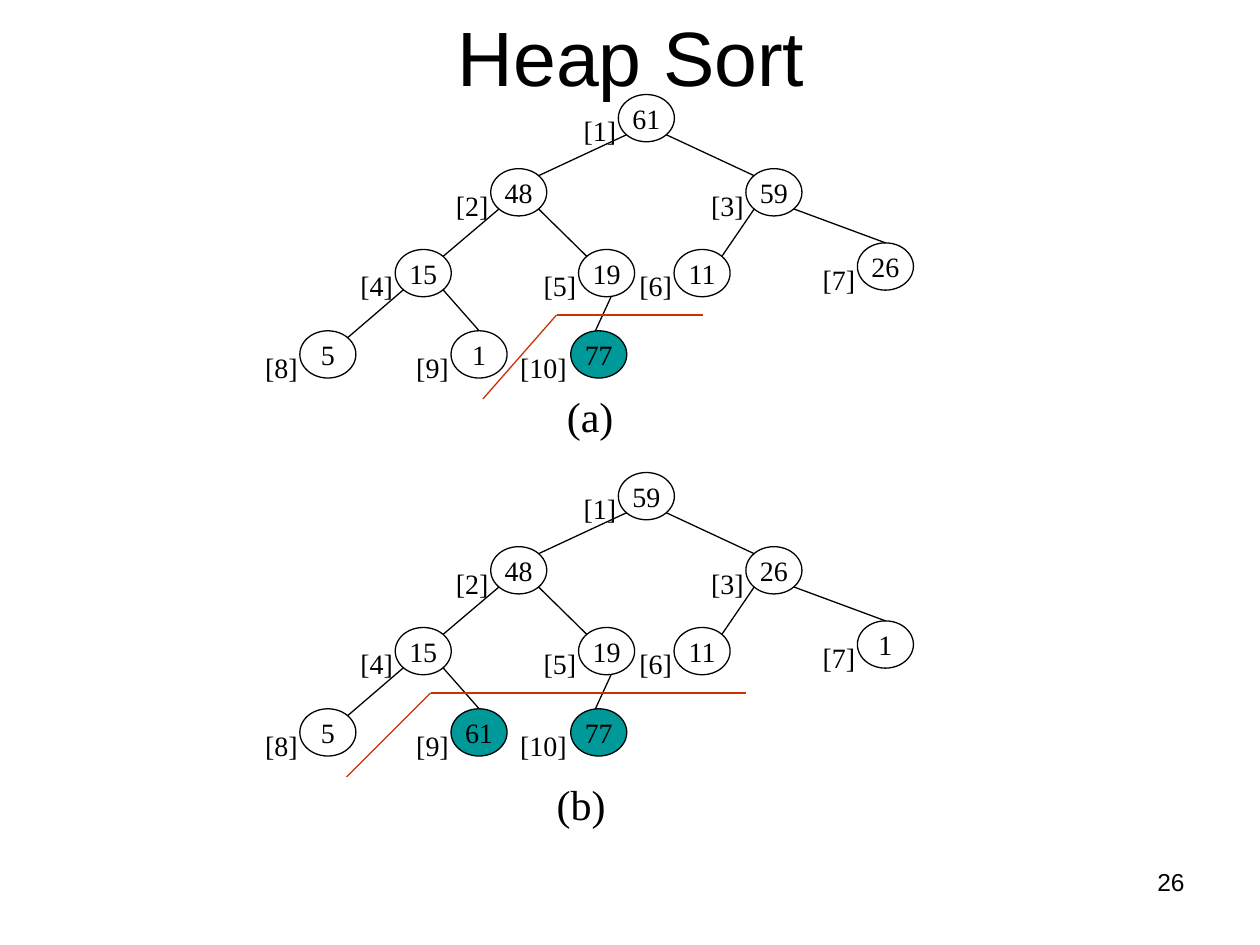
"""Build the Heap Sort slide: two heaps, before and after extracting the maximum."""
from dataclasses import dataclass
from typing import NamedTuple

from lxml import etree
from pptx import Presentation
from pptx.dml.color import RGBColor
from pptx.enum.shapes import MSO_CONNECTOR, MSO_SHAPE
from pptx.enum.text import MSO_ANCHOR, MSO_AUTO_SIZE, PP_ALIGN
from pptx.oxml.ns import qn
from pptx.util import Inches, Pt

ELLIPSE, STRAIGHT = MSO_SHAPE.OVAL, MSO_CONNECTOR.STRAIGHT
MIDDLE, TOP = MSO_ANCHOR.MIDDLE, MSO_ANCHOR.TOP
LEFT, CENTER, RIGHT = PP_ALIGN.LEFT, PP_ALIGN.CENTER, PP_ALIGN.RIGHT
GROW, FIXED = MSO_AUTO_SIZE.SHAPE_TO_FIT_TEXT, MSO_AUTO_SIZE.NONE
WIDTH, HEIGHT = Inches(10), Inches(7.5)


@dataclass(frozen=True)
class Theme:
    ink: RGBColor = RGBColor(0x00, 0x00, 0x00)
    sorted_fill: RGBColor = RGBColor(0x00, 0x99, 0x99)
    boundary: RGBColor = RGBColor(0xCC, 0x33, 0x00)
    sans: str = "Arial"
    serif: str = "Times New Roman"
    title: int = 44
    caption: int = 24
    node: int = 16
    number: int = 14
    line: float = 0.75


class Point(NamedTuple):
    """A place in percent of the slide's width and height."""
    x: float
    y: float


class Edge(NamedTuple):
    """A link between two nodes, leaving and arriving at shares of their ovals."""
    parent: int
    child: int
    start: Point
    end: Point


@dataclass(frozen=True)
class Heap:
    values: tuple[int, ...]
    heap_size: int
    top: float
    caption: str
    caption_at: Point
    boundary: tuple[Point, Point, Point]


THEME = Theme()
NODE = Point(4.45, 5)
LABEL = Point(4.65, 4.93)
CAPTION = Point(6.2, 6.67)
LABEL_SHIFT = Point(-3.75, 1.4)
EXTRA_DIGIT = 1.25
SPOTS = (
    Point(49.08, 10),
    Point(38.95, 17.85), Point(59.2, 17.85),
    Point(31.37, 26.4), Point(45.92, 26.4), Point(53.5, 26.4), Point(68.05, 25.7),
    Point(23.8, 35), Point(35.8, 35), Point(45.3, 35),
)
TOP_LEFT, TOP_RIGHT = Point(0.15, 0.15), Point(0.85, 0.15)
LOW_LEFT, LOW_RIGHT = Point(0.15, 0.85), Point(0.85, 0.85)
TOP_MID = Point(0.5, 0)
EDGES = (
    Edge(1, 2, LOW_LEFT, TOP_RIGHT), Edge(1, 3, LOW_RIGHT, TOP_LEFT),
    Edge(2, 4, LOW_LEFT, TOP_RIGHT), Edge(2, 5, LOW_RIGHT, TOP_LEFT),
    Edge(4, 8, LOW_LEFT, TOP_RIGHT), Edge(4, 9, LOW_RIGHT, TOP_MID),
    Edge(5, 10, Point(0.58, 1), Point(0.44, 0)),
    Edge(3, 6, LOW_LEFT, TOP_RIGHT), Edge(3, 7, LOW_RIGHT, TOP_MID),
)
HEAPS = (
    Heap((61, 48, 59, 15, 19, 11, 26, 5, 1, 77), 9, 0, "(a)", Point(44, 40.67),
         (Point(55.83, 33.33), Point(44.17, 33.33), Point(38.33, 42.22))),
    Heap((59, 48, 26, 15, 19, 11, 1, 5, 61, 77), 8, 40, "(b)", Point(43.2, 81.75),
         (Point(59.17, 73.33), Point(34.17, 73.33), Point(27.5, 82.22))),
)


def emu(pt: Point) -> tuple[int, int]:
    return round(WIDTH * pt.x / 100), round(HEIGHT * pt.y / 100)


def moved(pt: Point, dx: float, dy: float) -> Point:
    return Point(pt.x + dx, pt.y + dy)


def write(sp, text: str, size: int, font: str, align=LEFT, anchor=TOP, wrap=False) -> None:
    tf = sp.text_frame
    tf.text = text
    tf.word_wrap = wrap
    tf.vertical_anchor = anchor
    p = tf.paragraphs[0]
    p.alignment = align
    f = p.runs[0].font
    f.size, f.name = Pt(size), font
    f.color.rgb = THEME.ink


def add_label(slide, at: Point, size: Point, text: str, pts: int) -> None:
    sp = slide.shapes.add_textbox(*emu(at), *emu(size))
    write(sp, text, pts, THEME.serif)
    sp.text_frame.auto_size = GROW


def add_line(slide, start: Point, end: Point, color: RGBColor) -> None:
    line = slide.shapes.add_connector(STRAIGHT, *emu(start), *emu(end))
    line.line.color.rgb = color
    line.line.width = Pt(THEME.line)
    etree.SubElement(line._element.spPr, qn("a:effectLst"))


def add_node(slide, at: Point, index: int, value: int, is_sorted: bool) -> None:
    sp = slide.shapes.add_shape(ELLIPSE, *emu(at), *emu(NODE))
    sp.shadow.inherit = False
    if is_sorted:
        sp.fill.solid()
        sp.fill.fore_color.rgb = THEME.sorted_fill
    else:
        sp.fill.background()
    sp.line.color.rgb = THEME.ink
    sp.line.width = Pt(THEME.line)
    write(sp, str(value), THEME.node, THEME.serif, CENTER, MIDDLE)
    extra = EXTRA_DIGIT * (len(str(index)) - 1)
    add_label(slide, moved(at, LABEL_SHIFT.x - extra, LABEL_SHIFT.y),
              moved(LABEL, extra, 0), f"[{index}]", THEME.node)


def add_heap(slide, heap: Heap) -> None:
    spots = [moved(spot, 0, heap.top) for spot in SPOTS]
    for index, (spot, value) in enumerate(zip(spots, heap.values), start=1):
        add_node(slide, spot, index, value, index > heap.heap_size)
    for edge in EDGES:
        start, end = (
            moved(spots[i - 1], NODE.x * share.x, NODE.y * share.y)
            for i, share in ((edge.parent, edge.start), (edge.child, edge.end))
        )
        add_line(slide, start, end, THEME.ink)
    add_label(slide, heap.caption_at, CAPTION, heap.caption, THEME.caption)
    right, corner, foot = heap.boundary
    for end in (right, foot):
        add_line(slide, corner, end, THEME.boundary)


def main() -> None:
    prs = Presentation()
    prs.slide_width, prs.slide_height = WIDTH, HEIGHT
    slide = prs.slides.add_slide(prs.slide_layouts[5])
    title = slide.shapes.title
    title.left, title.top = emu(Point(5.1, 0))
    title.width, title.height = emu(Point(90, 11.87))
    write(title, "Heap Sort", THEME.title, THEME.sans, CENTER, MIDDLE, wrap=True)
    title.text_frame.auto_size = FIXED
    for heap in HEAPS:
        add_heap(slide, heap)
    number = slide.shapes.add_textbox(*emu(Point(71.7, 91.07)), *emu(Point(23.3, 6.93)))
    write(number, "26", THEME.number, THEME.sans, RIGHT, wrap=True)
    prs.save("out.pptx")


if __name__ == "__main__":
    main()
